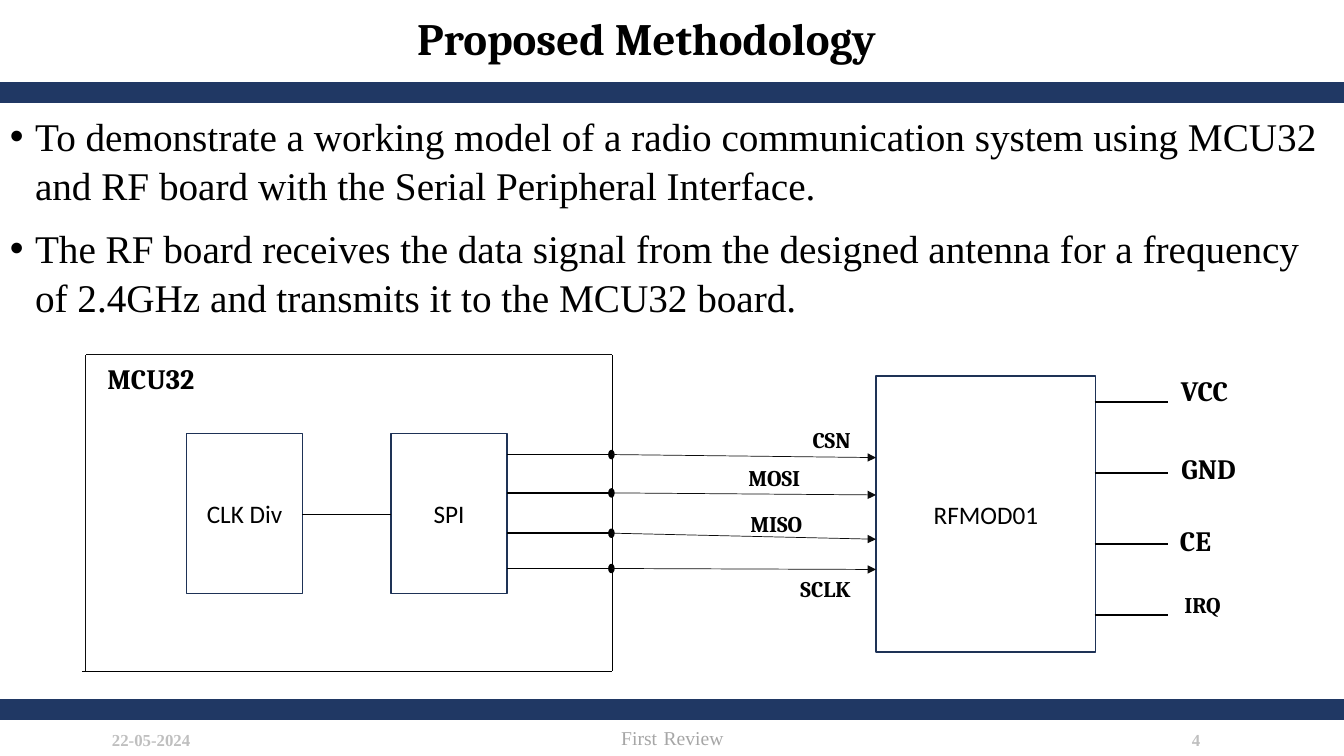
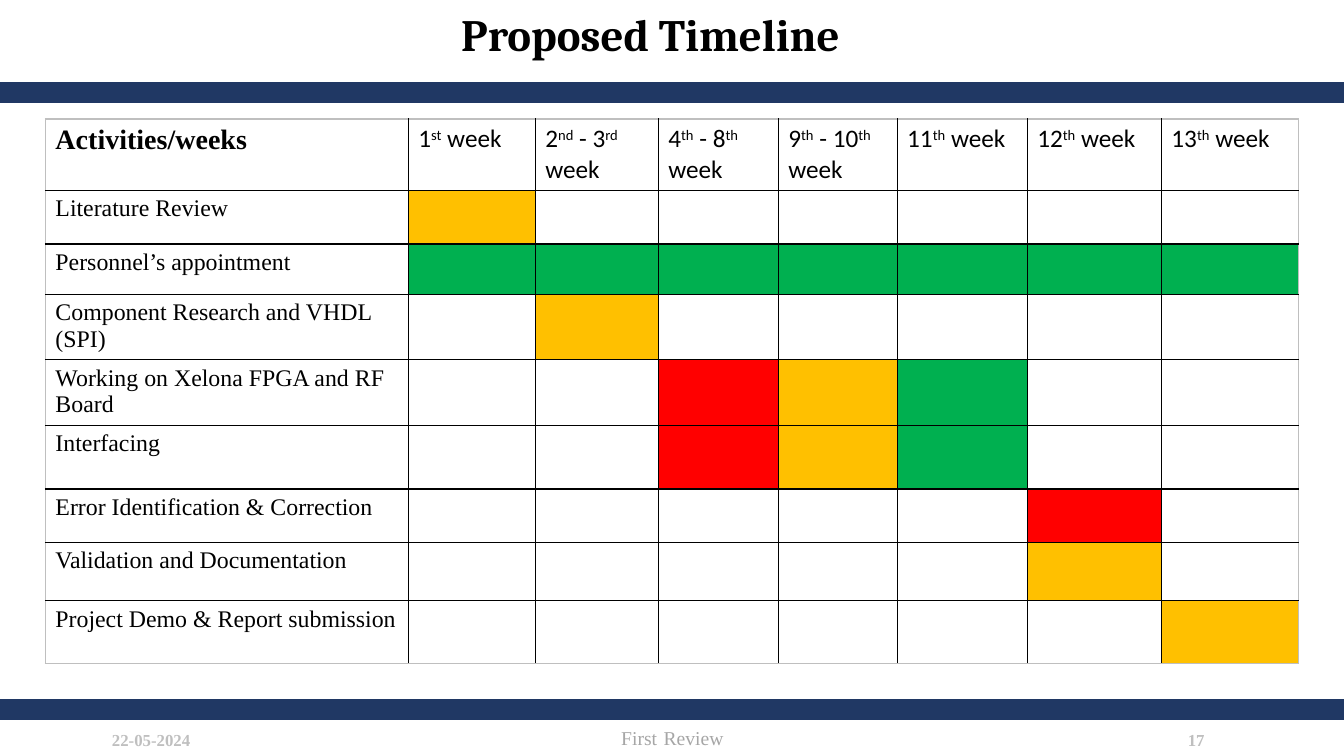
"""Build the methodology and timeline slides of the first review."""
from dataclasses import dataclass

from lxml import etree
from pptx import Presentation
from pptx import util as u
from pptx.dml.color import RGBColor
from pptx.enum import shapes, text
from pptx.oxml.ns import qn

W, H = u.Inches(13.33), u.Inches(7.5)
CENTER, LEFT = text.PP_ALIGN.CENTER, text.PP_ALIGN.LEFT
TOP, MIDDLE = text.MSO_ANCHOR.TOP, text.MSO_ANCHOR.MIDDLE


def font(name, size, color="000000", bold=False):
    """Return a format dict for a run."""
    return {"name": name, "size": u.Pt(size), "bold": bold, "color": color}


@dataclass(frozen=True)
class Theme:
    """Colours and type styles shared by the slides."""
    band = "203864"
    box_line = "1E3256"
    ink = "000000"
    frame = "0D0D0D"
    paper = "FFFFFF"
    table_edge = "BFBFBF"
    status = {"A": "FFC000", "G": "00B050", "R": "FF0000", ".": "FFFFFF"}
    title = font("Cambria", 32, bold=True)
    label = font("Cambria", 20, bold=True)
    small_label = font("Cambria", 16, bold=True)
    block = font("Calibri", 18)
    body = font("Times New Roman", 28)
    meta = font("Times New Roman", 12, "BFBFBF", True)
    footer = font("Times New Roman", 14, "A6A6A6")
    footer_gap = font("Times New Roman", 18)
    table_head = font("Times New Roman", 20, bold=True)
    activity = font("Times New Roman", 17)


T = Theme()
BANDS = (10.93, 92.53)
SIGNALS = [
    ("CSN", 60.13, 60.53, 58.2, 56.13),
    ("MOSI", 65.2, 65.47, 53.93, 61.2),
    ("MISO", 70.53, 71.33, 54.08, 67.2),
    ("SCLK", 75.2, 75.33, 57.75, 75.87),
]
PINS = [
    ("VCC", 85.95, 49.2, T.label),
    ("GND", 86.25, 59.6, T.label),
    ("CE", 85.28, 69.07, T.label),
    ("IRQ", 85.8, 78, T.small_label),
]
BODY = [
    "To demonstrate a working model of a radio communication system using MCU32 "
    "and RF board with the Serial Peripheral Interface.",
    "The RF board receives the data signal from the designed antenna for a frequency "
    "of 2.4GHz and transmits it to the MCU32 board.",
]
WEEKS = ["1^st^ week", "2^nd^ - 3^rd^ week", "4^th^ - 8^th^ week", "9^th^ - 10^th^ week",
         "11^th^ week", "12^th^ week", "13^th^ week"]
PLAN = [
    ("Literature Review", "A......", 7.07),
    ("Personnel’s appointment", "GGGGGGG", 6.67),
    ("Component Research and VHDL (SPI)", ".A.....", 8.67),
    ("Working on Xelona FPGA and RF Board", "..RAG..", 8.67),
    ("Interfacing", "..RAG..", 8.4),
    ("Error Identification & Correction", ".....R.", 7.07),
    ("Validation and Documentation", ".....A.", 7.73),
    ("Project Demo & Report submission", "......A", 8.27),
]
COLUMNS = [27, 9.45, 9.15, 8.93, 8.85, 9.68, 9.98, 10.2]
HEAD_ROW = 9.33


def px(share):
    """Turn a percentage of the slide width into a length."""
    return int(W * share / 100)


def py(share):
    """Turn a percentage of the slide height into a length."""
    return int(H * share / 100)


def area(x, y, w, h):
    """Turn four percentages into left, top, width and height."""
    return px(x), py(y), px(w), py(h)


def put(obj, **fmt):
    """Set attributes of an object from format values."""
    for key, value in fmt.items():
        setattr(obj, key, value)


def add_run(p, words, fmt):
    """Append one formatted run to a paragraph."""
    r = p.add_run()
    r.text = words
    put(r.font, **{k: v for k, v in fmt.items() if k != "color"})
    r.font.color.rgb = RGBColor.from_string(fmt["color"])
    return r


def write(tf, runs, align=CENTER, anchor=TOP, spacing=None):
    """Fill a text frame with one paragraph of (words, format) runs."""
    put(tf, word_wrap=True, vertical_anchor=anchor, auto_size=text.MSO_AUTO_SIZE.NONE)
    p = tf.paragraphs[0]
    put(p, alignment=align, line_spacing=spacing)
    for words, fmt in runs:
        add_run(p, words, fmt)


def add_text(s, box, runs, **fmt):
    """Add a text box holding one paragraph."""
    write(s.shapes.add_textbox(*area(*box)).text_frame, runs, **fmt)


def add_label(s, x, y, words, fmt, w=7.35):
    """Add a bold diagram label."""
    h = 10.93 if fmt is T.label else 6.67
    add_text(s, (x, y, w, h), [(words, fmt)], spacing=0.9)


def add_block(s, box, fill, line, words=None, kind=shapes.MSO_SHAPE.RECTANGLE):
    """Add a filled and outlined shape with optional centred words."""
    sp = s.shapes.add_shape(kind, *area(*box))
    sp.shadow.inherit = False
    sp.fill.solid()
    sp.fill.fore_color.rgb = RGBColor.from_string(fill)
    sp.line.color.rgb = RGBColor.from_string(line)
    sp.line.width = u.Pt(1)
    if words:
        write(sp.text_frame, [(words, T.block)], anchor=MIDDLE)


def add_line(s, x1, y1, x2, y2, color=T.ink, width=1, arrow=False):
    """Add a straight connector, with an arrowhead if asked."""
    c = s.shapes.add_connector(shapes.MSO_CONNECTOR.STRAIGHT, px(x1), py(y1), px(x2), py(y2))
    c.line.color.rgb = RGBColor.from_string(color)
    c.line.width = u.Pt(width)
    if arrow:
        etree.SubElement(c.line._get_or_add_ln(), qn("a:tailEnd"), type="triangle")
    etree.SubElement(c._element.spPr, qn("a:effectLst"))


def add_bullets(s, box, items):
    """Add a text box of bulleted paragraphs."""
    tf = s.shapes.add_textbox(*area(*box)).text_frame
    tf.word_wrap = True
    for i, words in enumerate(items):
        p = tf.add_paragraph() if i else tf.paragraphs[0]
        pPr = p._p.get_or_add_pPr()
        pPr.set("marL", str(u.Inches(0.25)))
        pPr.set("indent", str(u.Inches(-0.25)))
        etree.SubElement(pPr, qn("a:buFont"), typeface="Arial")
        etree.SubElement(pPr, qn("a:buChar"), char="•")
        put(p, space_before=u.Pt(10 if i else 0), line_spacing=1.04)
        add_run(p, words, T.body)


def add_slide(prs, title, box, number):
    """Add a slide with the title, bands and footer."""
    s = prs.slides.add_slide(prs.slide_layouts[5])
    for y in BANDS:
        add_block(s, (0, y, 100, 2.67), T.band, T.band)
    left, top, width, height = area(*box)
    put(s.shapes.title, left=left, top=top, width=width, height=height)
    write(s.shapes.title.text_frame, [(title, T.title)], spacing=0.9)
    for x, w, words in ((0, 22.5, "22-05-2024"), (78, 22, number)):
        add_text(s, (x, 95.73, w, 4.13), [(words, T.meta)], anchor=MIDDLE)
    add_text(s, (33.15, 94.67, 33.75, 5.33),
             [("First", T.footer), (" ", T.footer_gap), ("Review", T.footer)])
    return s


def draw_controller(s):
    """Draw the controller frame and the blocks inside it."""
    left, right, top, bottom = 6.38, 45.53, 46.93, 88.8
    add_line(s, right, top, right, bottom, width=0.5)
    add_line(s, left, bottom, left, top, T.frame, 0.5)
    add_line(s, right, top, left, top, T.frame, 0.5)
    add_line(s, right, bottom, 6.08, bottom, width=0.5)
    add_label(s, 6.08, 47.73, "MCU32", T.label, 10.28)
    for x, words in ((13.88, "CLK Div"), (29.1, "SPI")):
        add_block(s, (x, 57.33, 8.62, 21.2), T.paper, T.box_line, words)
    add_line(s, 22.5, 68, 29.1, 68, width=0.5)


def draw_links(s):
    """Draw the radio block, its signals and its pins."""
    port, radio = 45.53, 65.18
    add_block(s, (radio, 49.73, 16.35, 36.53), T.paper, T.box_line, "RFMOD01")
    for words, y, y_end, label_x, label_y in SIGNALS:
        add_line(s, 37.73, y, port, y)
        add_block(s, (45.3, y - 0.53, 0.38, 1.07), T.ink, T.ink,
                  kind=shapes.MSO_SHAPE.FLOWCHART_CONNECTOR)
        add_line(s, port, y, radio, y_end, T.frame, 0.5, arrow=True)
        add_label(s, label_x, label_y, words, T.small_label)
    for i, (words, x, y, fmt) in enumerate(PINS):
        pin_y = 53.2 + 9.38 * i
        add_line(s, 81.45, pin_y, 86.93, pin_y)
        add_label(s, x, y, words, fmt)


def set_borders(cell, colors):
    """Give a cell left, right, top and bottom borders."""
    tcPr = cell._tc.get_or_add_tcPr()
    for i, (side, color) in enumerate(zip("LRTB", colors)):
        ln = etree.Element(qn(f"a:ln{side}"), w=str(u.Pt(1)))
        fill = etree.SubElement(ln, qn("a:solidFill"))
        etree.SubElement(fill, qn("a:srgbClr"), val=color)
        tcPr.insert(i, ln)


def week_runs(words):
    """Split a week heading into (words, raised) pieces."""
    return [(part, i % 2 == 1) for i, part in enumerate(words.split("^"))]


def add_timeline(s):
    """Add the table of activities and coloured weeks."""
    heights = [HEAD_ROW] + [row[2] for row in PLAN]
    n_rows, n_cols = len(heights), len(COLUMNS)
    box = area(3.38, 15.73, sum(COLUMNS), sum(heights))
    table = s.shapes.add_table(n_rows, n_cols, *box).table
    put(table, first_row=False, horz_banding=False)
    for column, share in zip(table.columns, COLUMNS):
        column.width = px(share)
    for row, share in zip(table.rows, heights):
        row.height = py(share)
    fills = ["." * n_cols] + ["." + marks for _, marks, _ in PLAN]
    for i, marks in enumerate(fills):
        for j, mark in enumerate(marks):
            cell = table.cell(i, j)
            cell.fill.solid()
            cell.fill.fore_color.rgb = RGBColor.from_string(T.status[mark])
            outer = (j == 0, j == n_cols - 1, i == 0, i == n_rows - 1)
            set_borders(cell, [T.table_edge if edge else T.ink for edge in outer])
    write(table.cell(0, 0).text_frame, [("Activities/weeks", T.table_head)], LEFT)
    for j, words in enumerate(WEEKS, 1):
        p = table.cell(0, j).text_frame.paragraphs[0]
        for part, raised in week_runs(words):
            r = add_run(p, part, T.block)
            if raised:
                r.font._element.set("baseline", "30000")
    for i, (words, _, _) in enumerate(PLAN, 1):
        write(table.cell(i, 0).text_frame, [(words, T.activity)], LEFT)


def main():
    """Build and save the presentation."""
    prs = Presentation()
    put(prs, slide_width=W, slide_height=H)
    s = add_slide(prs, "Proposed Methodology", (16.65, 1.6, 62.93, 6.8), "4")
    add_bullets(s, (0, 14, 100, 76.8), BODY)
    draw_controller(s)
    draw_links(s)
    s = add_slide(prs, "Proposed Timeline", (16.95, 1.07, 62.93, 8.13), "17")
    add_timeline(s)
    prs.save("out.pptx")


if __name__ == "__main__":
    main()
